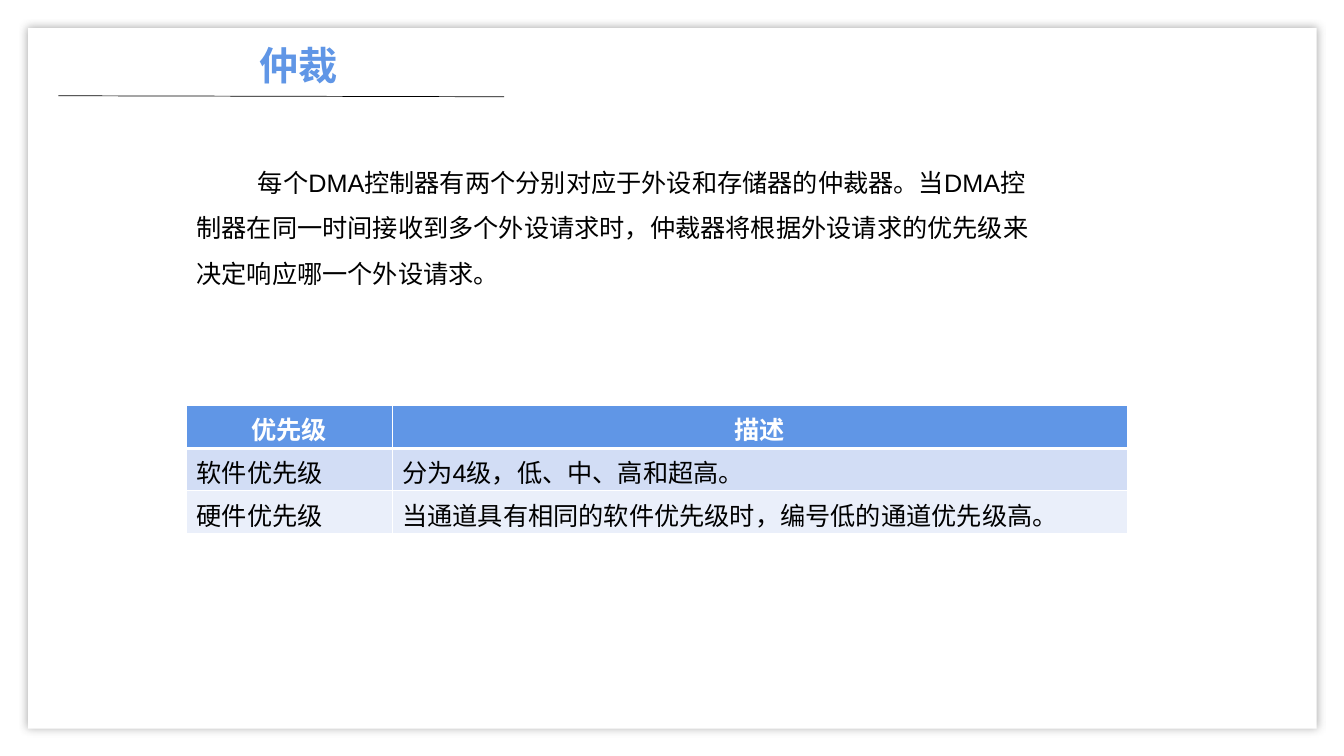
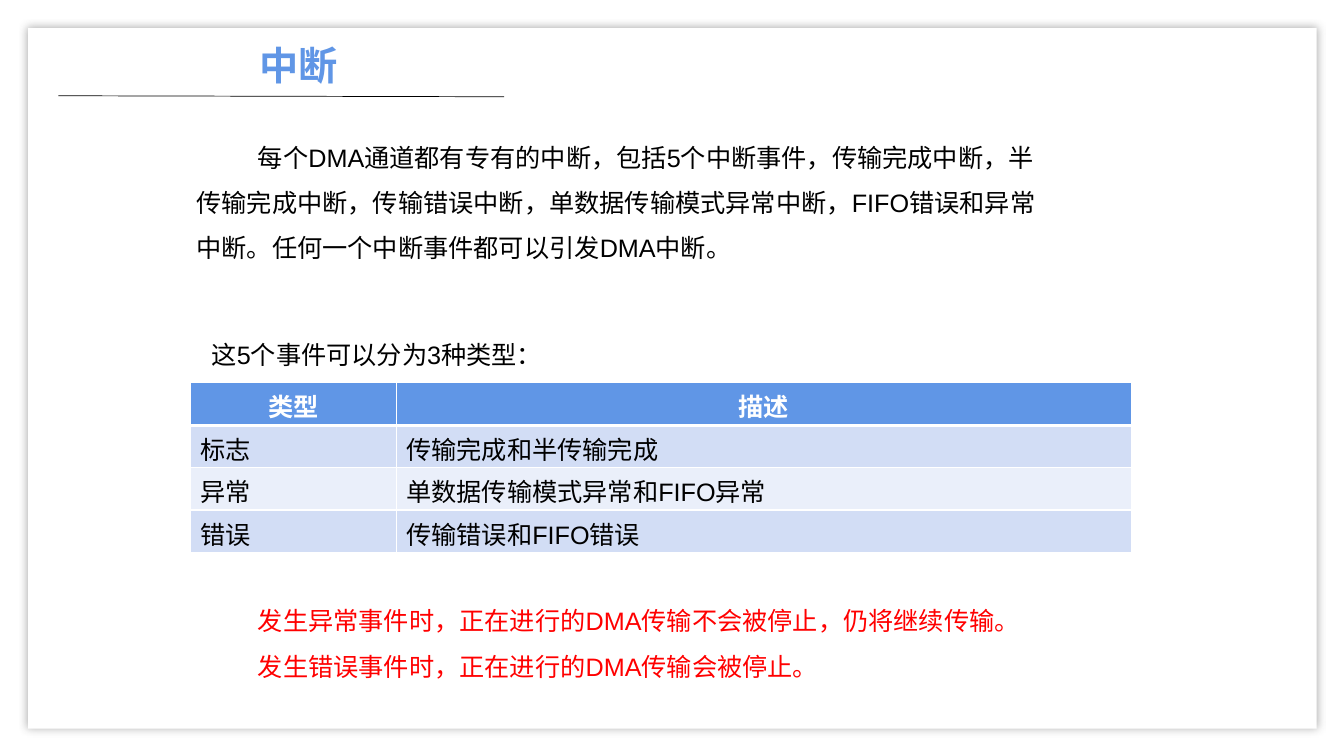
from lxml.etree import SubElement
from pptx import Presentation
from pptx.dml.color import RGBColor
from pptx.enum.lang import MSO_LANGUAGE_ID
from pptx.enum.shapes import MSO_CONNECTOR, MSO_SHAPE
from pptx.enum.text import MSO_AUTO_SIZE, PP_ALIGN
from pptx.oxml.ns import qn
from pptx.util import Inches, Pt

WHITE, BLACK, RED, ACCENT = "FFFFFF", "000000", "FF0000", "6096E6"
ROW_FILLS = ("D2DDF5", "EAEFFA")
BODY = {"size": Pt(18), "bold": False}
HEADER = {"size": Pt(18), "bold": True}
TITLE = {"size": Pt(28), "bold": True}
COMMON = {"name": "Arial", "language_id": MSO_LANGUAGE_ID.SIMPLIFIED_CHINESE}
COLUMN_WIDTHS = (2.04, 7.29)
HEADER_HEIGHT, ROW_HEIGHT = 0.43, 0.42


def rgb(value):
    return RGBColor.from_string(value)


def write(paragraph, text, style, color, align=PP_ALIGN.LEFT):
    paragraph.alignment = align
    run = paragraph.add_run()
    run.text = text
    for key, value in {**COMMON, **style}.items():
        setattr(run.font, key, value)
    run.font.color.rgb = rgb(color)


def text_frame(slide, box):
    frame = slide.shapes.add_textbox(*map(Inches, box)).text_frame
    frame.word_wrap = True
    frame.auto_size = MSO_AUTO_SIZE.SHAPE_TO_FIT_TEXT
    return frame


def add_passage(slide, box, lines, color=BLACK):
    frame = text_frame(slide, box)
    for index, line in enumerate(lines):
        paragraph = frame.add_paragraph() if index else frame.paragraphs[0]
        paragraph.line_spacing = 1.5
        properties = paragraph._p.get_or_add_pPr()
        properties.set("marL", "0")
        properties.set("indent", str(Inches(0.61)))
        write(paragraph, line, BODY, color)


def add_panel(slide, box):
    panel = slide.shapes.add_shape(MSO_SHAPE.RECTANGLE, *map(Inches, box))
    panel.shadow.inherit = False
    panel.fill.solid()
    panel.fill.fore_color.rgb = rgb(WHITE)
    panel.line.fill.background()
    effects = panel._element.spPr.find(qn("a:effectLst"))
    shadow = SubElement(effects, qn("a:outerShdw"), blurRad=str(Pt(6)), dist="0", dir="0",
                        algn="ctr", rotWithShape="0")
    tint = SubElement(shadow, qn("a:srgbClr"), val="404040")
    SubElement(tint, qn("a:alpha"), val="41000")


def add_heading(slide, box, title):
    left, top, width, height = box
    ends = (left, top + height - 0.01, left + width, top + height)
    rule = slide.shapes.add_connector(MSO_CONNECTOR.STRAIGHT, *map(Inches, ends))
    rule.line.color.rgb = rgb(BLACK)
    rule.line.width = Pt(0.5)
    SubElement(rule._element.spPr, qn("a:effectLst"))
    frame = text_frame(slide, (left + 0.64, top, 3.49, 0.57))
    write(frame.paragraphs[0], title, TITLE, ACCENT, PP_ALIGN.CENTER)


def set_borders(cell, widths):
    properties = cell._tc.get_or_add_tcPr()
    for side, width in zip("LRTB", widths):
        border = SubElement(properties, qn(f"a:ln{side}"), w=str(Pt(width)))
        fill = SubElement(border, qn("a:solidFill"))
        SubElement(fill, qn("a:srgbClr"), val=WHITE)


def add_grid(slide, left, top, rows):
    heights = [HEADER_HEIGHT] + [ROW_HEIGHT] * (len(rows) - 1)
    box = (left, top, sum(COLUMN_WIDTHS), sum(heights))
    table = slide.shapes.add_table(len(rows), len(COLUMN_WIDTHS), *map(Inches, box)).table
    table.horz_banding = False
    for column, width in zip(table.columns, COLUMN_WIDTHS):
        column.width = Inches(width)
    for index, (texts, height) in enumerate(zip(rows, heights)):
        table.rows[index].height = Inches(height)
        if index == 0:
            fill, look = ACCENT, (HEADER, WHITE, PP_ALIGN.CENTER)
        else:
            fill, look = ROW_FILLS[(index - 1) % 2], (BODY, BLACK)
        widths = (1, 1, 3 if index == 1 else 1, 3 if index == 0 else 1)
        for cell, text in zip(table.rows[index].cells, texts):
            set_borders(cell, widths)
            cell.fill.solid()
            cell.fill.fore_color.rgb = rgb(fill)
            write(cell.text_frame.paragraphs[0], text, *look)


def start_slide(deck, title):
    slide = deck.slides.add_slide(deck.slide_layouts[6])
    slide.background.fill.solid()
    slide.background.fill.fore_color.rgb = rgb(WHITE)
    add_panel(slide, (0.28, 0.28, 12.78, 6.95))
    add_heading(slide, (0.58, 0.36, 4.42, 0.6), title)
    return slide


def arbitration_slide(deck):
    slide = start_slide(deck, "仲裁")
    add_passage(slide, (1.85, 1.46, 8.62, 1.46), [
        "每个DMA控制器有两个分别对应于外设和存储器的仲裁器。当DMA控制器在同一时间接收到"
        "多个外设请求时，仲裁器将根据外设请求的优先级来决定响应哪一个外设请求。"])
    add_grid(slide, 1.85, 4.02, [
        ("优先级", "描述"),
        ("软件优先级", "分为4级，低、中、高和超高。"),
        ("硬件优先级", "当通道具有相同的软件优先级时，编号低的通道优先级高。")])


def interrupt_slide(deck):
    slide = start_slide(deck, "中断")
    add_passage(slide, (1.85, 1.21, 8.62, 1.46), [
        "每个DMA通道都有专有的中断，包括5个中断事件，传输完成中断，半传输完成中断，"
        "传输错误中断，单数据传输模式异常中断，FIFO错误和异常中断。"
        "任何一个中断事件都可以引发DMA中断。"])
    add_grid(slide, 1.89, 3.79, [
        ("类型", "描述"),
        ("标志", "传输完成和半传输完成"),
        ("异常", "单数据传输模式异常和FIFO异常"),
        ("错误", "传输错误和FIFO错误")])
    add_passage(slide, (1.39, 3.17, 4.15, 0.55), ["这5个事件可以分为3种类型："])
    add_passage(slide, (1.85, 5.81, 9.33, 1.01), [
        "发生异常事件时，正在进行的DMA传输不会被停止，仍将继续传输。",
        "发生错误事件时，正在进行的DMA传输会被停止。"], RED)


def main():
    deck = Presentation()
    deck.slide_width, deck.slide_height = Inches(13.33), Inches(7.5)
    arbitration_slide(deck)
    interrupt_slide(deck)
    deck.save("out.pptx")


if __name__ == "__main__":
    main()
